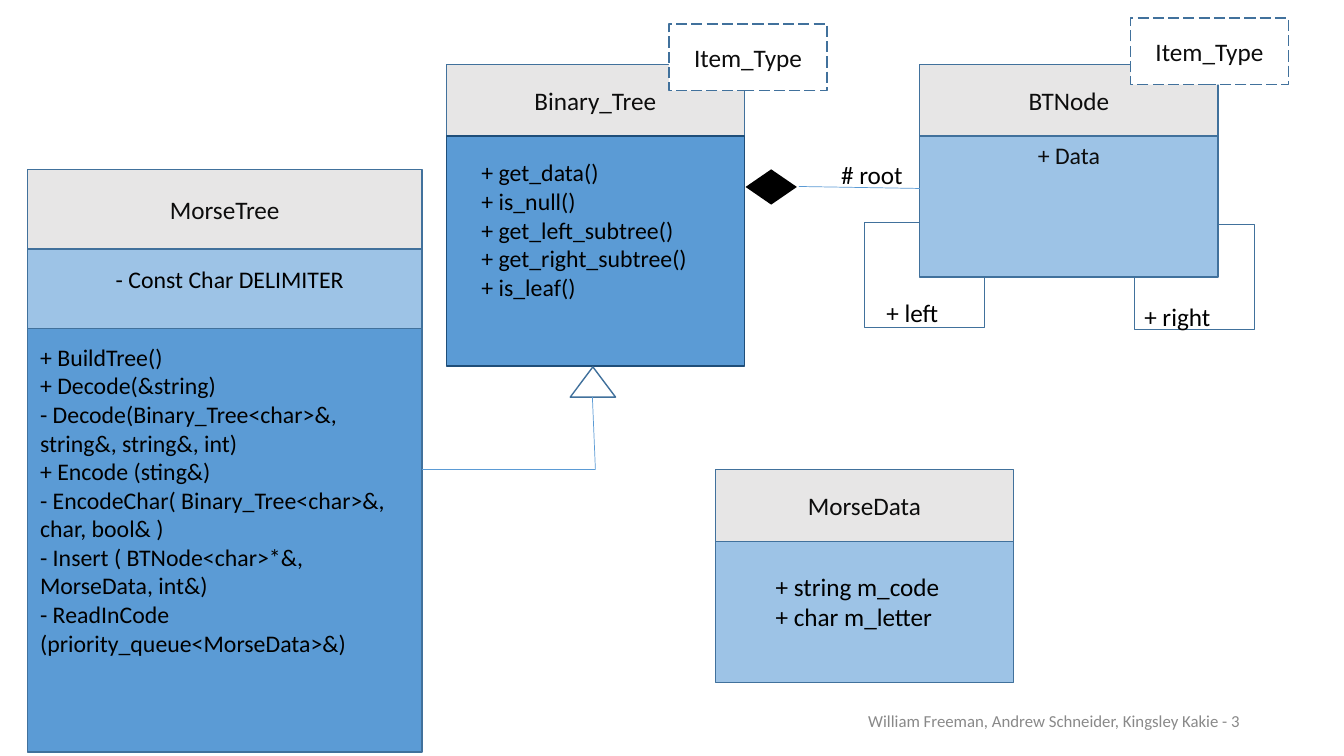
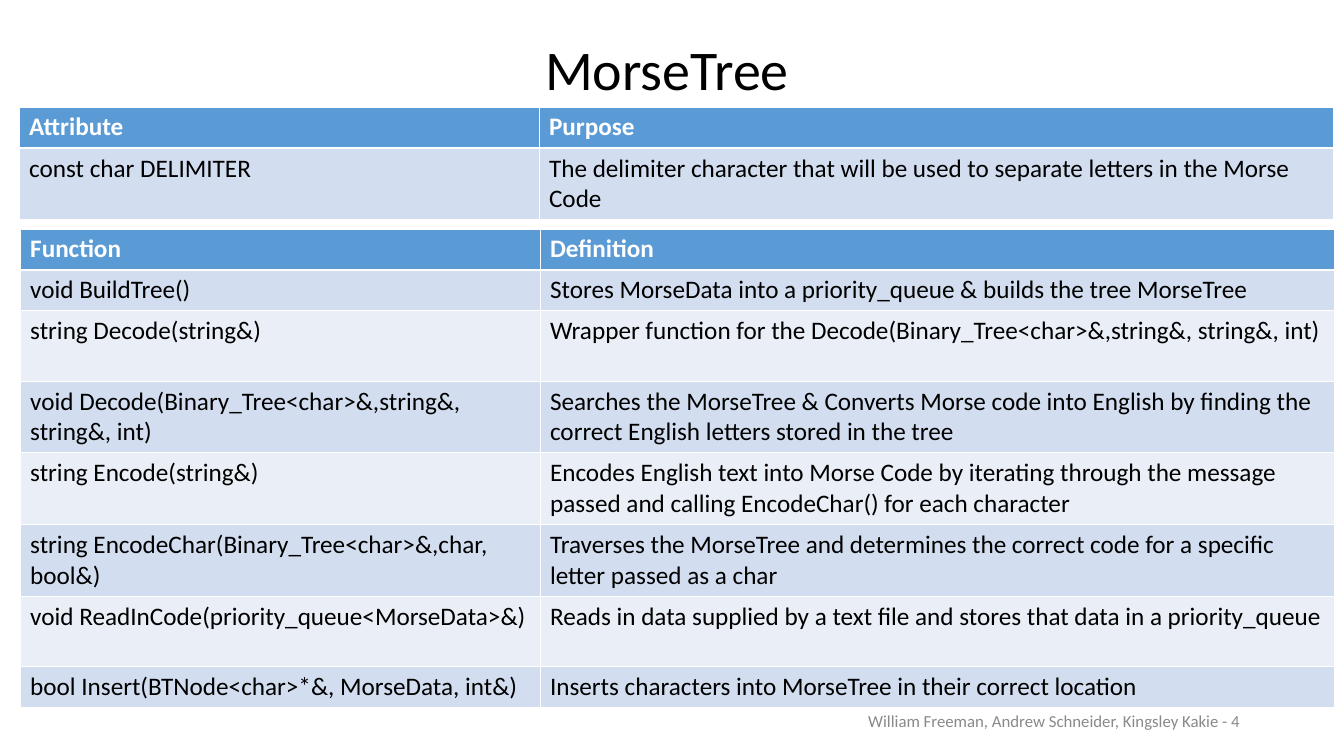
"""Build the Morse tree class diagram and its reference tables."""
from dataclasses import dataclass

from lxml.etree import SubElement
from pptx import Presentation
from pptx.dml.color import RGBColor
from pptx.enum.dml import MSO_LINE
from pptx.enum.shapes import MSO_CONNECTOR, MSO_SHAPE
from pptx.enum.text import MSO_ANCHOR, PP_ALIGN
from pptx.oxml.ns import qn
from pptx.shapes.autoshape import Shape
from pptx.slide import Slide
from pptx.table import _Cell
from pptx.text.text import TextFrame
from pptx.util import Inches, Pt

COLORS = {
    "white": "FFFFFF",
    "black": "000000",
    "ink": "0D0D0D",
    "footer": "898989",
    "blue": "5B9BD5",
    "light_blue": "9DC3E6",
    "gray": "E7E6E6",
    "outline": "41719C",
    "dark_outline": "1F4E79",
    "odd_row": "D2DEEF",
    "even_row": "EAEFF7",
}
FONT = "Calibri"
AUTHORS = "William Freeman, Andrew Schneider, Kingsley Kakie"
TABLE_COLUMNS = (5.16, 7.88)
THIN_BORDER, THICK_BORDER = Pt(0.45), Pt(1.47)


@dataclass(frozen=True)
class Box:
    left: float
    top: float
    width: float
    height: float

    def lengths(self) -> tuple[Inches, Inches, Inches, Inches]:
        return Inches(self.left), Inches(self.top), Inches(self.width), Inches(self.height)


@dataclass(frozen=True)
class Compartment:
    height: float
    fill: str
    text: str = ""
    size: float = 18
    anchor: MSO_ANCHOR = MSO_ANCHOR.MIDDLE
    outline: str = "outline"


@dataclass(frozen=True)
class ClassBox:
    left: float
    top: float
    width: float
    compartments: tuple[Compartment, ...]


@dataclass(frozen=True)
class Label:
    box: Box
    text: str
    size: float = 18


@dataclass(frozen=True)
class Link:
    start: tuple[float, float]
    end: tuple[float, float]


@dataclass(frozen=True)
class TableSpec:
    left: float
    top: float
    row_heights: tuple[float, ...]
    rows: tuple[tuple[str, str], ...]


SELF_LINKS = (Box(11.26, 2.23, 1.19, 1.04), Box(8.58, 2.21, 1.19, 1.04))
CLASSES = (
    ClassBox(9.13, 0.64, 2.96, (
        Compartment(0.71, "gray", "BTNode"),
        Compartment(1.4, "light_blue", "+ Data", 17, MSO_ANCHOR.TOP),
    )),
    ClassBox(4.43, 0.64, 2.96, (
        Compartment(0.71, "gray", "Binary_Tree"),
        Compartment(2.28, "blue", outline="dark_outline"),
    )),
    ClassBox(0.27, 1.68, 3.92, (
        Compartment(0.79, "gray", "MorseTree"),
        Compartment(0.79, "light_blue"),
        Compartment(4.2, "blue"),
    )),
    ClassBox(7.1, 4.66, 2.96, (
        Compartment(0.71, "gray", "MorseData"),
        Compartment(1.4, "light_blue"),
    )),
)
TEMPLATE_PARAMETERS = (Box(11.22, 0.18, 1.57, 0.66), Box(6.64, 0.24, 1.57, 0.66))
COMPOSITION_DIAMOND = Box(7.4, 1.68, 0.51, 0.35)
INHERITANCE_TRIANGLE = Box(5.66, 3.64, 0.45, 0.3)
LINKS = (
    Link((9.13, 1.87), (7.93, 1.85)),
    Link((5.91, 4.66), (5.88, 3.94)),
    Link((5.91, 4.66), (4.19, 4.66)),
)
LABELS = (
    Label(Box(8.7, 2.9, 1.24, 0.4), "+ left"),
    Label(Box(11.26, 2.94, 1.24, 0.4), "+ right"),
    Label(Box(8.25, 1.53, 1.03, 0.4), "# root"),
    Label(
        Box(4.68, 1.52, 2.41, 1.8),
        "+ get_data()\n+ is_null()\n+ get_left_subtree()\n+ get_right_subtree()\n+ is_leaf()",
        17,
    ),
    Label(Box(1.05, 2.58, 2.49, 0.39), "- Const Char DELIMITER", 17),
    Label(
        Box(0.3, 3.35, 3.73, 4.13),
        "+ BuildTree()\n"
        "+ Decode(&string)\n"
        "- Decode(Binary_Tree<char>&, string&, string&, int)\n"
        "+ Encode (sting&)\n"
        "- EncodeChar( Binary_Tree<char>&, char, bool& )\n"
        "- Insert ( BTNode<char>*&, MorseData, int&)\n"
        "- ReadInCode (priority_queue<MorseData>&)",
        17,
    ),
    Label(Box(7.6, 5.62, 1.99, 0.7), "+ string m_code\n+ char m_letter"),
)
FUNCTIONS = TableSpec(0.2, 2.27, (0.4, 0.4, 0.7, 0.7, 0.7, 0.7, 0.7, 0.4), (
    ("Function", "Definition"),
    ("void BuildTree()", "Stores MorseData into a priority_queue & builds the tree MorseTree"),
    ("string Decode(string&)",
     "Wrapper function for the Decode(Binary_Tree<char>&,string&, string&, int)"),
    ("void Decode(Binary_Tree<char>&,string&, string&, int)",
     "Searches the MorseTree & Converts Morse code into English by finding the "
     "correct English letters stored in the tree"),
    ("string Encode(string&)",
     "Encodes English text into Morse Code by iterating through the message "
     "passed and calling EncodeChar() for each character"),
    ("string EncodeChar(Binary_Tree<char>&,char, bool&)",
     "Traverses the MorseTree and determines the correct code for a specific "
     "letter passed as a char"),
    ("void ReadInCode(priority_queue<MorseData>&)",
     "Reads in data supplied by a text file and stores that data in a priority_queue"),
    ("bool Insert(BTNode<char>*&, MorseData, int&)",
     "Inserts characters into MorseTree in their correct location"),
))
ATTRIBUTES = TableSpec(0.19, 1.06, (0.41, 0.7), (
    ("Attribute", "Purpose"),
    ("const char DELIMITER",
     "The delimiter character that will be used to separate letters in the Morse Code"),
))


def rgb(color: str) -> RGBColor:
    return RGBColor.from_string(COLORS[color])


def write(frame: TextFrame, text: str, size: float, color: str,
          align: PP_ALIGN = PP_ALIGN.LEFT, bold: bool = False) -> None:
    frame.text = text
    for paragraph in frame.paragraphs:
        paragraph.alignment = align
        for run in paragraph.runs:
            run.font.name = FONT
            run.font.size = Pt(size)
            run.font.bold = bold
            run.font.color.rgb = rgb(color)


def add_figure(slide: Slide, kind: MSO_SHAPE, box: Box, fill: str,
               outline: str | None = "outline") -> Shape:
    figure = slide.shapes.add_shape(kind, *box.lengths())
    figure.shadow.inherit = False
    figure.fill.solid()
    figure.fill.fore_color.rgb = rgb(fill)
    if outline:
        figure.line.color.rgb = rgb(outline)
        figure.line.width = Pt(1)
    else:
        figure.line.fill.background()
    return figure


def add_class(slide: Slide, spec: ClassBox) -> None:
    top = spec.top
    for part in spec.compartments:
        box = Box(spec.left, top, spec.width, part.height)
        section = add_figure(slide, MSO_SHAPE.RECTANGLE, box, part.fill, part.outline)
        if part.text:
            section.text_frame.vertical_anchor = part.anchor
            write(section.text_frame, part.text, part.size, "ink", PP_ALIGN.CENTER)
        top += part.height


def add_template_parameter(slide: Slide, box: Box) -> None:
    parameter = add_figure(slide, MSO_SHAPE.RECTANGLE, box, "white")
    parameter.line.dash_style = MSO_LINE.LONG_DASH
    write(parameter.text_frame, "Item_Type", 18, "ink", PP_ALIGN.CENTER)


def add_label(slide: Slide, label: Label, color: str = "black",
              align: PP_ALIGN = PP_ALIGN.LEFT) -> TextFrame:
    frame = slide.shapes.add_textbox(*label.box.lengths()).text_frame
    frame.word_wrap = True
    write(frame, label.text, label.size, color, align)
    return frame


def add_link(slide: Slide, link: Link) -> None:
    ends = [Inches(value) for value in (*link.start, *link.end)]
    connector = slide.shapes.add_connector(MSO_CONNECTOR.STRAIGHT, *ends)
    connector.line.color.rgb = rgb("blue")
    connector.line.width = Pt(0.5)
    SubElement(connector._element.spPr, qn("a:effectLst"))


def add_footer(slide: Slide, number: int) -> None:
    footer = Label(Box(8.33, 6.95, 4.08, 0.4), f"{AUTHORS} - {number}", 12)
    frame = add_label(slide, footer, "footer", PP_ALIGN.RIGHT)
    frame.vertical_anchor = MSO_ANCHOR.MIDDLE


def set_borders(cell: _Cell, row: int) -> None:
    properties = cell._tc.get_or_add_tcPr()
    widths = {
        "a:lnL": THIN_BORDER,
        "a:lnR": THIN_BORDER,
        "a:lnT": THICK_BORDER if row == 1 else THIN_BORDER,
        "a:lnB": THICK_BORDER if row == 0 else THIN_BORDER,
    }
    for side, width in widths.items():
        border = SubElement(properties, qn(side), w=str(int(width)))
        fill = SubElement(border, qn("a:solidFill"))
        SubElement(fill, qn("a:srgbClr"), val=COLORS["white"])


def add_reference_table(slide: Slide, spec: TableSpec) -> None:
    box = Box(spec.left, spec.top, sum(TABLE_COLUMNS), sum(spec.row_heights))
    table = slide.shapes.add_table(len(spec.rows), len(TABLE_COLUMNS), *box.lengths()).table
    for column, width in zip(table.columns, TABLE_COLUMNS):
        column.width = Inches(width)
    for row, (height, texts) in enumerate(zip(spec.row_heights, spec.rows)):
        table.rows[row].height = Inches(height)
        heading = row == 0
        fill = "blue" if heading else ("odd_row" if row % 2 else "even_row")
        for column, text in enumerate(texts):
            cell = table.cell(row, column)
            set_borders(cell, row)
            cell.fill.solid()
            cell.fill.fore_color.rgb = rgb(fill)
            write(cell.text_frame, text, 18, "white" if heading else "black", bold=heading)


def build_diagram(slide: Slide) -> None:
    for box in SELF_LINKS:
        add_figure(slide, MSO_SHAPE.RECTANGLE, box, "white")
    for spec in CLASSES:
        add_class(slide, spec)
    for box in TEMPLATE_PARAMETERS:
        add_template_parameter(slide, box)
    add_figure(slide, MSO_SHAPE.FLOWCHART_SORT, COMPOSITION_DIAMOND, "black", None)
    add_figure(slide, MSO_SHAPE.ISOSCELES_TRIANGLE, INHERITANCE_TRIANGLE, "white")
    for link in LINKS:
        add_link(slide, link)
    for label in LABELS:
        add_label(slide, label)
    add_footer(slide, 3)


def build_reference(slide: Slide) -> None:
    title = slide.shapes.title
    title.left, title.top, title.width, title.height = Box(3.71, 0.29, 5.82, 0.77).lengths()
    title.text_frame.vertical_anchor = MSO_ANCHOR.TOP
    write(title.text_frame, "MorseTree", 40, "black", PP_ALIGN.CENTER)
    add_reference_table(slide, FUNCTIONS)
    add_reference_table(slide, ATTRIBUTES)
    add_footer(slide, 4)


def main() -> None:
    deck = Presentation()
    deck.slide_width, deck.slide_height = Inches(13.34), Inches(7.5)
    title_only, blank = deck.slide_layouts[5], deck.slide_layouts[6]
    build_diagram(deck.slides.add_slide(blank))
    build_reference(deck.slides.add_slide(title_only))
    deck.save("out.pptx")


if __name__ == "__main__":
    main()
